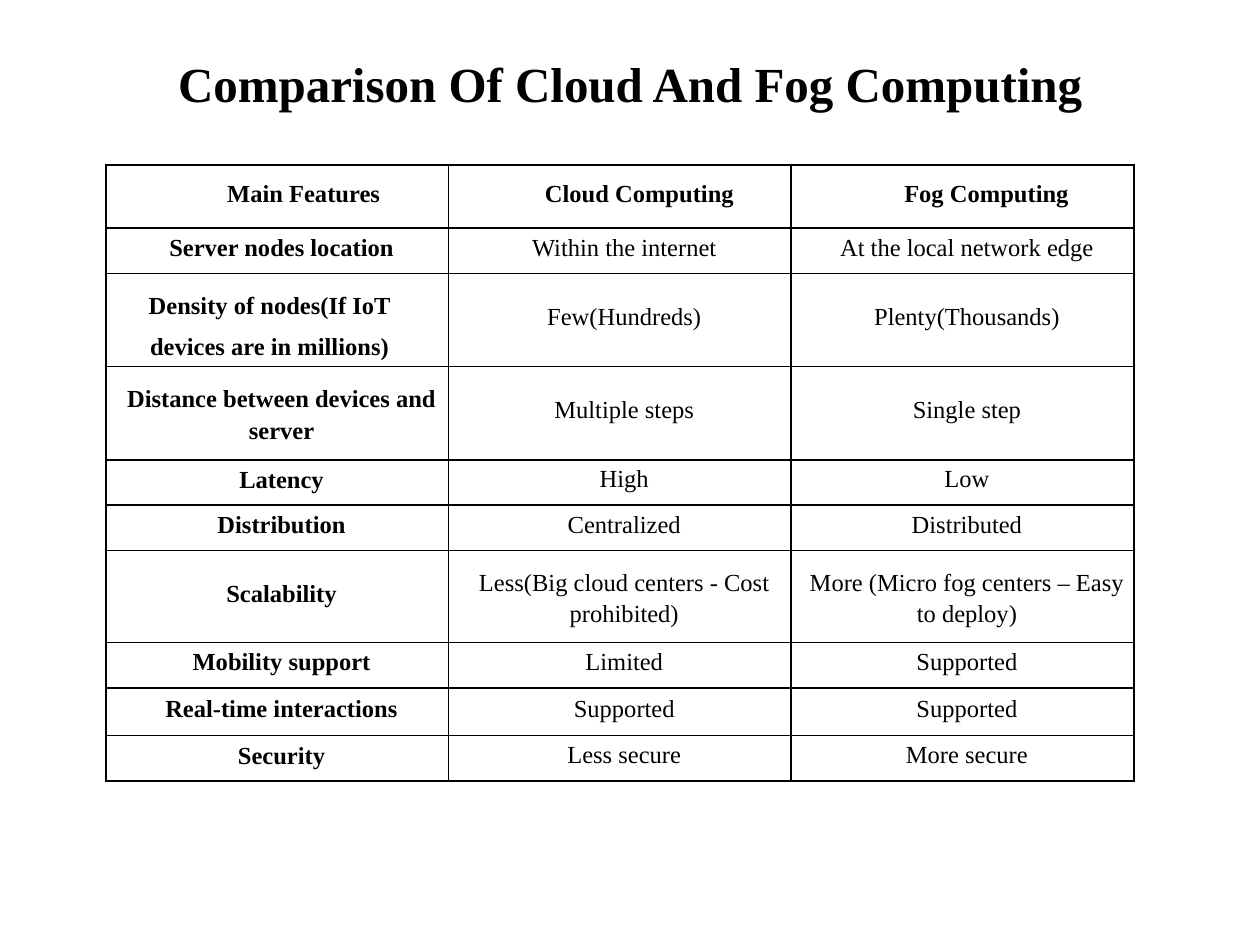
from lxml import etree
from pptx import Presentation
from pptx.dml.color import RGBColor
from pptx.enum.text import MSO_ANCHOR, PP_ALIGN
from pptx.oxml.ns import qn
from pptx.util import Inches, Pt

BLACK = RGBColor(0x00, 0x00, 0x00)
CENTER = PP_ALIGN.CENTER
TOP = MSO_ANCHOR.TOP
MIDDLE = MSO_ANCHOR.MIDDLE

ROWS = [
    (0.5, "Main Features", "Cloud Computing", "Fog Computing"),
    (0.36, "Server nodes location", "Within the internet", "At the local network edge"),
    (0.74, "Density of nodes(If IoT devices are in millions)", "Few(Hundreds)", "Plenty(Thousands)"),
    (0.74, "Distance between devices and server", "Multiple steps", "Single step"),
    (0.36, "Latency", "High", "Low"),
    (0.36, "Distribution", "Centralized", "Distributed"),
    (0.73, "Scalability", "Less(Big cloud centers - Cost prohibited)",
     "More (Micro fog centers – Easy to deploy)"),
    (0.36, "Mobility support", "Limited", "Supported"),
    (0.38, "Real-time interactions", "Supported", "Supported"),
    (0.36, "Security", "Less secure", "More secure"),
]
HEAD = [0.42, 0.31, 0.38]
SPACING = {(2, 0): 1.5, (3, 0): 1.15, (6, 1): 1.15, (6, 2): 1.15}
RIGHT = {(2, 0): 0.19}


def write(frame, text, size=14, bold=False, space=1.0, left=0, right=0):
    frame.word_wrap = True
    para = frame.paragraphs[0]
    para.alignment = CENTER
    para.line_spacing = space
    props = para._p.get_or_add_pPr()
    props.set("marL", str(Inches(left)))
    props.set("marR", str(Inches(right)))
    props.set("indent", "0")
    run = para.add_run()
    run.text = text
    run.font.name = "Times New Roman"
    run.font.size = Pt(size)
    run.font.bold = bold
    run.font.color.rgb = BLACK


def border(cell):
    props = cell._tc.get_or_add_tcPr()
    for spot, side in enumerate(("lnL", "lnR", "lnT", "lnB")):
        line = etree.Element(qn("a:" + side), w=str(Pt(1)))
        fill = etree.SubElement(line, qn("a:solidFill"))
        etree.SubElement(fill, qn("a:srgbClr"), val=str(BLACK))
        props.insert(spot, line)


deck = Presentation()
deck.slide_width = Inches(10)
deck.slide_height = Inches(7.5)
slide = deck.slides.add_slide(deck.slide_layouts[6])

title = slide.shapes.add_textbox(Inches(0.69), Inches(0.4), Inches(8.62), Inches(0.96)).text_frame
title.vertical_anchor = TOP
title.margin_top = Inches(0.08)
write(title, "Comparison Of Cloud And Fog Computing", size=28, bold=True, space=0.9)

table = slide.shapes.add_table(
    len(ROWS), 3, Inches(0.84), Inches(1.31), Inches(8.16), Inches(4.9)).table
for col in table.columns:
    col.width = Inches(2.72)

for r, (height, *texts) in enumerate(ROWS):
    table.rows[r].height = Inches(height)
    for c, text in enumerate(texts):
        cell = table.cell(r, c)
        cell.fill.background()
        cell.vertical_anchor = MIDDLE
        cell.margin_left = cell.margin_right = cell.margin_top = cell.margin_bottom = 0
        border(cell)
        bold = r == 0 or c == 0
        space = SPACING.get((r, c), Pt(12.6 if bold else 12.3))
        left = HEAD[c] if r == 0 else 0.07
        write(cell.text_frame, text, bold=bold, space=space, left=left, right=RIGHT.get((r, c), 0))

deck.save("out.pptx")
